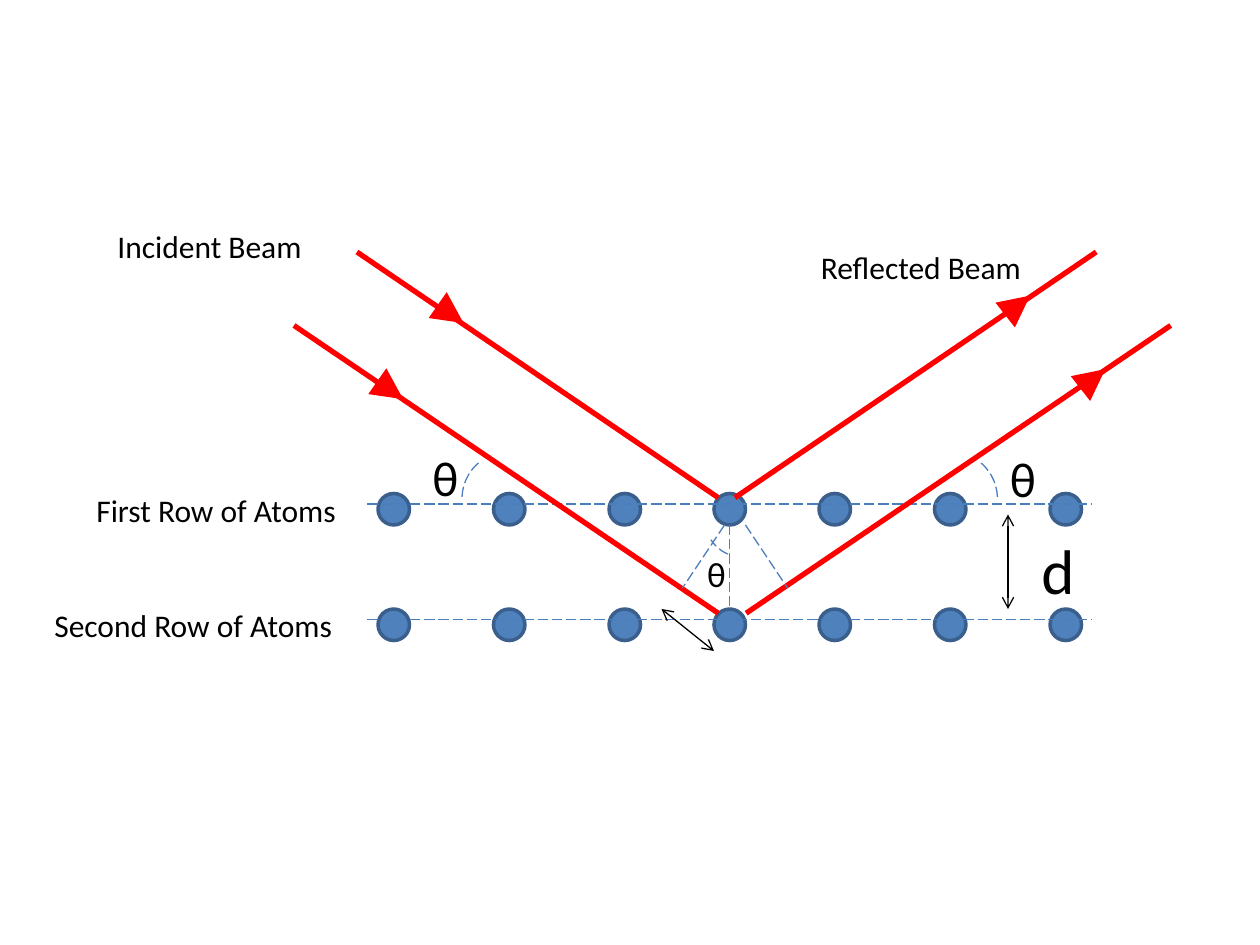
"""Draw the reflection of two beams from two rows of atoms."""
from lxml import etree
from pptx import Presentation
from pptx import util as u
from pptx.dml import color, line as _line
from pptx.enum import dml, shapes, text
from pptx.oxml import ns

BLACK, RED, ATOM, ATOM_EDGE = "000000", "FF0000", "4F81BD", "3A5F8C"
GUIDE = "4B7EBC"
ATOM_SIZE = 18
ATOM_LEFTS = (216, 282, 348, 408, 468, 534, 600)
ROW_TOPS = (282, 348)


def rgb(value):
    """Return a colour from a hex string."""
    return color.RGBColor.from_string(value)


def style_line(line, hex_color, width, dashed=False):
    """Set the colour, width and dash of a line."""
    line.color.rgb = rgb(hex_color)
    line.width = u.Pt(width)
    if dashed:
        line.dash_style = dml.MSO_LINE.LONG_DASH


def add_shape(slide, kind, left, top, width, height, fill=None):
    """Add a preset shape without shadow or outline."""
    shape = slide.shapes.add_shape(kind, u.Pt(left), u.Pt(top), u.Pt(width), u.Pt(height))
    shape.shadow.inherit = False
    if fill:
        shape.fill.solid()
        shape.fill.fore_color.rgb = rgb(fill)
    else:
        shape.fill.background()
    shape.line.fill.background()
    return shape


def add_atom(slide, left, top):
    """Add one round atom."""
    atom = add_shape(slide, shapes.MSO_SHAPE.OVAL, left, top, ATOM_SIZE, ATOM_SIZE, ATOM)
    style_line(atom.line, ATOM_EDGE, 2)


def add_line(slide, start, end, hex_color, width=0.75, dashed=False, arrows=False):
    """Add a straight line, with open arrowheads at both ends if asked."""
    points = [u.Pt(value) for value in (*start, *end)]
    connector = slide.shapes.add_connector(shapes.MSO_CONNECTOR.STRAIGHT, *points)
    style_line(connector.line, hex_color, width, dashed)
    if arrows:
        outline = connector.line._get_or_add_ln()
        for end_name in ("a:headEnd", "a:tailEnd"):
            etree.SubElement(outline, ns.qn(end_name), type="arrow")
    etree.SubElement(connector._element.spPr, ns.qn("a:effectLst"))


def add_angle(slide, left, top, width, height, start, end, mirrored=False):
    """Add a dashed arc that marks an angle."""
    arc = add_shape(slide, shapes.MSO_SHAPE.ARC, left, top, width, height)
    arc.adjustments[0] = start
    arc.adjustments[1] = end
    style_line(arc.line, GUIDE, 0.75, dashed=True)
    if mirrored:
        arc._element.spPr.xfrm.set("flipH", "1")


def add_beam_head(slide, left, top, rotation):
    """Add a red triangle that shows the direction of a beam."""
    head = add_shape(slide, shapes.MSO_SHAPE.ISOSCELES_TRIANGLE, left, top, 18, 18, RED)
    head.rotation = rotation


def add_label(slide, words, left, top, width, height, size):
    """Add a label on one line."""
    box = slide.shapes.add_textbox(u.Pt(left), u.Pt(top), u.Pt(width), u.Pt(height))
    frame = box.text_frame
    frame.word_wrap = False
    frame.auto_size = text.MSO_AUTO_SIZE.SHAPE_TO_FIT_TEXT
    run = frame.paragraphs[0].add_run()
    run.text = words
    run.font.name = "Calibri"
    run.font.size = u.Pt(size)
    run.font.color.rgb = rgb(BLACK)


def main():
    """Build and save the slide."""
    presentation = Presentation()
    presentation.slide_width, presentation.slide_height = u.Pt(720), u.Pt(540)
    slide = presentation.slides.add_slide(presentation.slide_layouts[6])

    for top in ROW_TOPS:
        for left in ATOM_LEFTS:
            add_atom(slide, left, top)
    for top in ROW_TOPS:
        add_line(slide, (210, top + 6), (624, top + 6), GUIDE, dashed=True)

    for start, end in (
        ((168, 186), (410.4, 350.4)),
        ((204, 144), (410.4, 284.4)),
        ((669, 186), (426.4, 350.4)),
        ((626.4, 144), (420, 284.4)),
    ):
        add_line(slide, start, end, RED, 3)

    for start, end in (
        ((414, 300), (390, 336)),
        ((426, 300), (450, 336)),
        ((417, 300), (417, 348)),
    ):
        add_line(slide, start, end, ATOM, dashed=True)
    for start, end in (((378, 348), (408, 372)), ((576, 294), (576, 348))):
        add_line(slide, start, end, BLACK, arrows=True)

    add_angle(slide, 264, 258, 54, 54, 109.35, 138.97)
    add_angle(slide, 516, 258, 54, 54, 109.35, 138.97, mirrored=True)
    add_angle(slide, 402, 270, 42, 48, 64.36, 83.57)

    for label in (
        ("θ", 240, 252, 29.5, 41, 28),
        ("θ", 570, 253, 29.5, 41, 28),
        ("θ", 397, 312, 25, 31.5, 20),
        ("d", 588, 300, 34, 51, 36),
        ("First Row of Atoms", 48, 277, 152.5, 29, 18),
        ("Second Row of Atoms", 24, 343, 175, 29, 18),
        ("Incident Beam", 60, 126, 121, 29, 18),
        ("Reflected Beam", 462, 138, 130.5, 29, 18),
    ):
        add_label(slide, *label)

    for left, top, rotation in (
        (214, 214, 124.9),
        (248.5, 170.5, 124.9),
        (615.5, 207.5, 52),
        (572.5, 165.5, 52),
    ):
        add_beam_head(slide, left, top, rotation)

    presentation.save("out.pptx")


if __name__ == "__main__":
    main()
